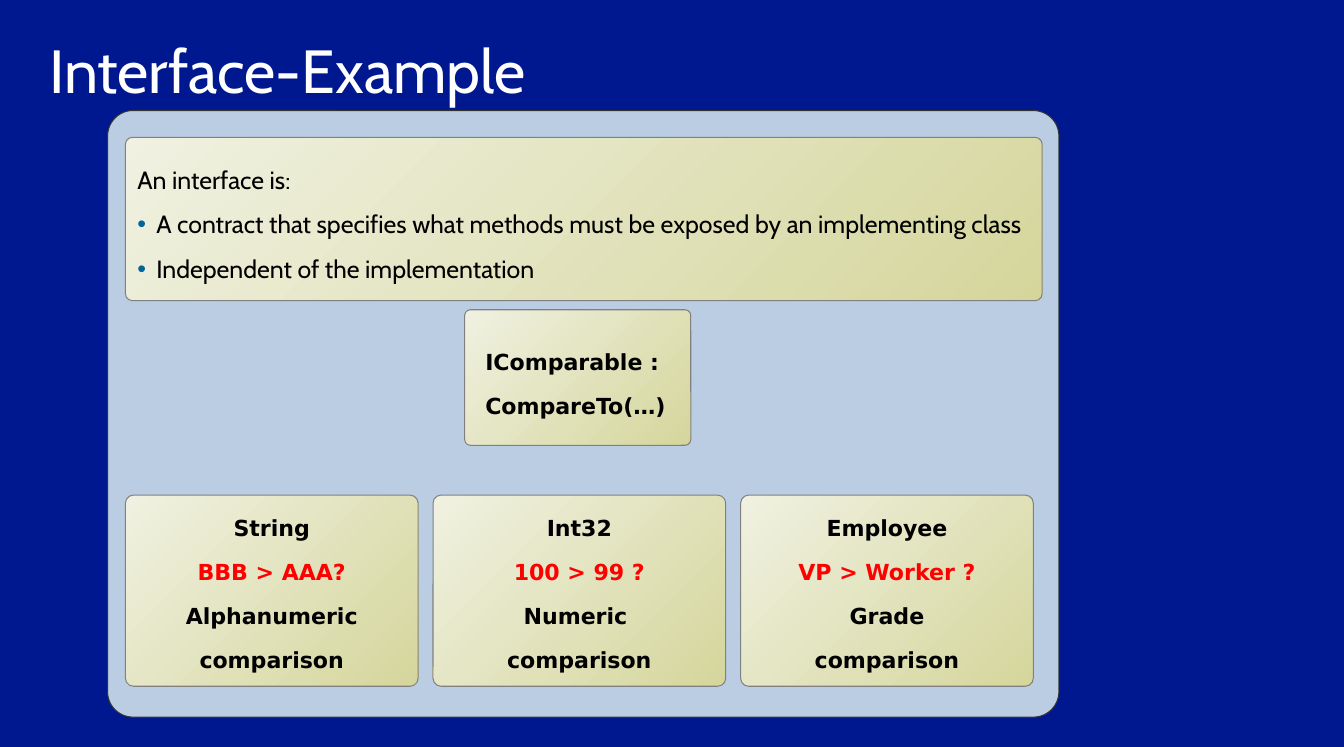
from lxml.etree import SubElement as Sub
from pptx import Presentation
from pptx.dml.color import RGBColor
from pptx.enum.shapes import MSO_SHAPE as Kind
from pptx.enum.text import MSO_ANCHOR as Anchor, MSO_AUTO_SIZE as Fit, PP_ALIGN as Align
from pptx.oxml.ns import qn
from pptx.util import Pt

CARDS = [
    ["String", "BBB > AAA?", "Alphanumeric comparison"],
    ["Int32", "100 > 99 ?", "Numeric ", "comparison"],
    ["Employee", "VP > Worker ?", "Grade", "comparison"],
]


def color(target, code):
    target.rgb = RGBColor.from_string(code)


def indent(para, left, first=0):
    props = para._p.get_or_add_pPr()
    props.set("marL", str(Pt(left)))
    props.set("indent", str(Pt(first)))
    return props


def bullet(para):
    props = indent(para, 20.9, -13.7)
    tint = Sub(props, qn("a:buClr"))
    Sub(tint, qn("a:srgbClr"), val="006699")
    Sub(props, qn("a:buFont"), typeface="Arial")
    Sub(props, qn("a:buChar"), char="•")


def style(para, face, size, ink, space, bold=False, align=Align.LEFT):
    para.alignment = align
    para.line_spacing = space
    for run in para.runs:
        run.font.name = face
        run.font.size = Pt(size)
        run.font.bold = bold
        color(run.font.color, ink)


def inset(frame, left, top, right, bottom):
    frame.margin_left, frame.margin_top = Pt(left), Pt(top)
    frame.margin_right, frame.margin_bottom = Pt(right), Pt(bottom)


def block(slide, box, edge):
    shape = slide.shapes.add_shape(Kind.ROUNDED_RECTANGLE, *map(Pt, box))
    shape.adjustments[0] = 0.042
    shape.shadow.inherit = False
    shape.line.width = Pt(0.75)
    color(shape.line.color, edge)
    return shape


def panel(slide, box, lines, anchor=Anchor.MIDDLE):
    shape = block(slide, box, "808080")
    shape.fill.gradient()
    shape.fill.gradient_angle = 315
    for stop, code in zip(shape.fill.gradient_stops, ("F0F1E1", "D5D69C")):
        color(stop.color, code)
    frame = shape.text_frame
    frame.word_wrap = True
    frame.vertical_anchor = anchor
    inset(frame, 0, 0, 0, 3.6)
    frame.text = "\n".join(lines)
    return frame.paragraphs


def header(slide, box):
    title = slide.shapes.title
    title.left, title.top, title.width, title.height = map(Pt, box)
    frame = title.text_frame
    frame.text = "Interface-Example"
    frame.auto_size = Fit.NONE
    frame.vertical_anchor = Anchor.MIDDLE
    inset(frame, 11.5, 9.4, 11.5, 9.4)
    style(frame.paragraphs[0], "Cabin", 44, "FFFFFF", 0.9)


def intro(slide, box):
    paras = panel(slide, box, [
        "An interface is:",
        "A contract that specifies what methods must be exposed by an implementing class",
        "Independent of the implementation",
    ])
    indent(paras[0], 7.2)
    for para in paras[1:]:
        bullet(para)
    for para in paras:
        style(para, "Cabin", 18, "000000", 1.5)


def method(slide, box):
    para = panel(slide, box, [""])[0]
    para.text = "IComparable :\vCompareTo(…)"
    indent(para, 13.7)
    style(para, "DejaVu Sans", 16, "000000", 1.65, True)


def cards(slide, box):
    left, top, width, height = box
    gap = 10.8
    wide = (width - gap * (len(CARDS) - 1)) / len(CARDS)
    for col, lines in enumerate(CARDS):
        spot = (left + col * (wide + gap), top, wide, height)
        for row, para in enumerate(panel(slide, spot, lines, Anchor.TOP)):
            ink = "FF0000" if row == 1 else "000000"
            style(para, "DejaVu Sans", 16, ink, 1.65, True, Align.CENTER)


def body(slide, box):
    left, top, width, height = box
    frame = block(slide, box, "333333")
    frame.fill.solid()
    color(frame.fill.fore_color, "BBCDE3")
    intro(slide, (left + 12.9, top + 19.4, 663, 118))
    method(slide, (left + 258.3, top + 144, 163.5, 98))
    cards(slide, (left + 12.9, top + 278, 656.6, 138.2))


def main():
    deck = Presentation()
    deck.slide_width, deck.slide_height = Pt(972), Pt(540)
    slide = deck.slides.add_slide(deck.slide_layouts[5])
    slide.background.fill.solid()
    color(slide.background.fill.fore_color, "00188F")
    header(slide, (24, 18, 924, 70.5))
    body(slide, (77.8, 79.9, 688, 438.5))
    deck.save("out.pptx")


if __name__ == "__main__":
    main()
